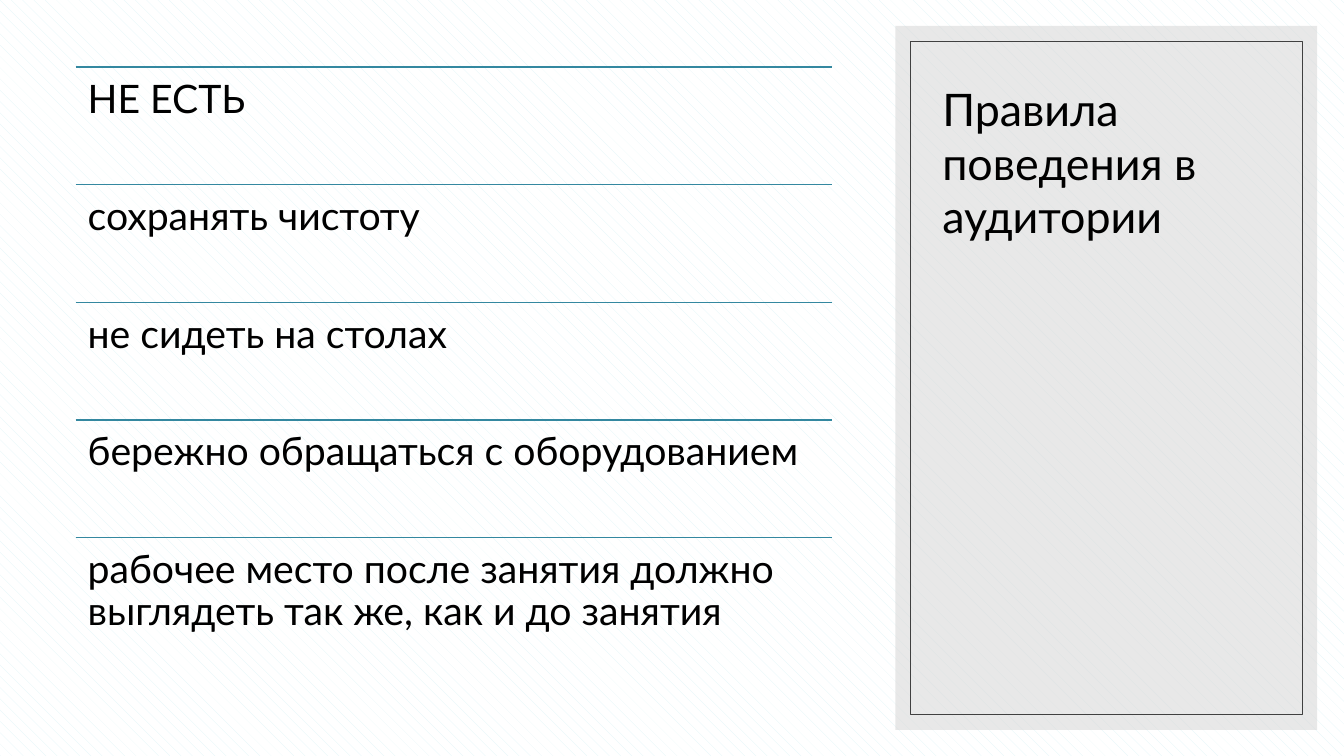
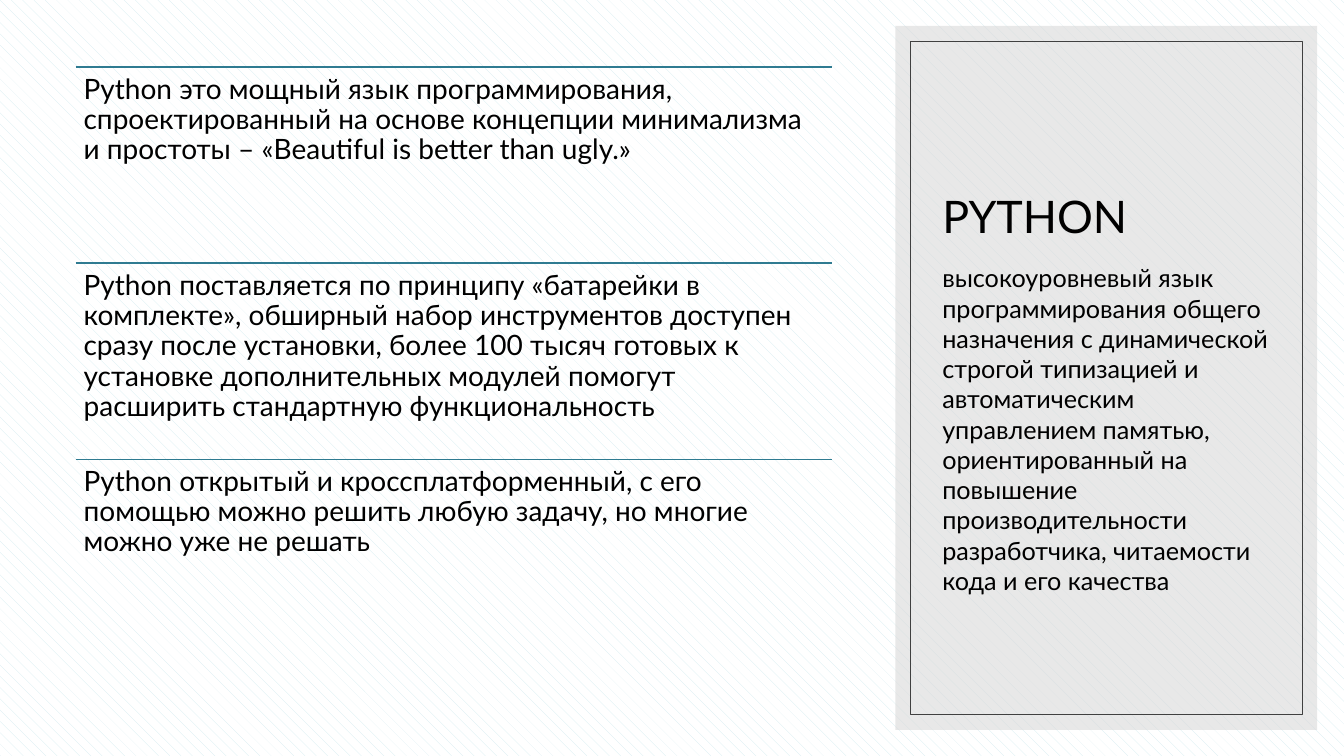
"""Build two slides of ruled statements beside a grey title panel."""
from lxml import etree
from pptx import Presentation
from pptx.dml.color import RGBColor
from pptx.enum.dml import MSO_PATTERN
from pptx.enum.shapes import MSO_CONNECTOR, MSO_SHAPE
from pptx.enum.text import MSO_ANCHOR, PP_ALIGN
from pptx.oxml.ns import qn
from pptx.util import Inches, Pt

SHINGLE = MSO_PATTERN.SHINGLE
STRAIGHT = MSO_CONNECTOR.STRAIGHT
RECTANGLE = MSO_SHAPE.RECTANGLE
TOP, BOTTOM = MSO_ANCHOR.TOP, MSO_ANCHOR.BOTTOM
LEFT = PP_ALIGN.LEFT

BLACK = RGBColor(0x00, 0x00, 0x00)
WHITE = RGBColor(0xFF, 0xFF, 0xFF)
PANEL_GREY = RGBColor(0xD9, 0xD9, 0xD9)
FRAME_GREY = RGBColor(0x40, 0x40, 0x40)
PALE_AQUA = RGBColor(0xDE, 0xF4, 0xF7)
PALE_BLUE = RGBColor(0xD2, 0xEA, 0xF0)
TEAL = RGBColor(0x34, 0x88, 0xA0)
DEEP_TEAL = RGBColor(0x2F, 0x7B, 0x91)

FONT = "Lato"
COLUMNS, ROWS = 160, 90
CELL = Inches(7.5) // ROWS
BLANK_LAYOUT = 6

PANEL = (106.6, 3.1, 50.2, 83.8)
FRAME = (108.4, 4.9, 46.7, 80.2)
TITLE = (111, 7.9, 41.5, 21.6)
SUMMARY = (111, 30.7, 41.5, 47.3)
LIST_LEFT, LIST_TOP, LIST_WIDTH, LIST_HEIGHT = 9, 8, 90, 70

SLIDES = [
    {
        "title": "Правила поведения в аудитории",
        "summary": None,
        "hatch": PALE_AQUA,
        "rule": TEAL,
        "size": 28,
        "inset": 0.12,
        "items": [
            "НЕ ЕСТЬ",
            "сохранять чистоту",
            "не сидеть на столах",
            "бережно обращаться с оборудованием",
            "рабочее место после занятия должно выглядеть так же, как и до занятия",
        ],
    },
    {
        "title": "PYTHON",
        "summary": "высокоуровневый язык программирования общего назначения "
                   "с динамической строгой типизацией и автоматическим "
                   "управлением памятью, ориентированный на повышение "
                   "производительности разработчика, читаемости кода "
                   "и его качества",
        "hatch": PALE_BLUE,
        "rule": DEEP_TEAL,
        "size": 20,
        "inset": 0.08,
        "items": [
            "Python это мощный язык программирования, спроектированный на "
            "основе концепции минимализма и простоты – "
            "«Beautiful is better than ugly.»",
            "Python поставляется по принципу «батарейки в комплекте», "
            "обширный набор инструментов доступен сразу после установки, "
            "более 100 тысяч готовых к установке дополнительных модулей "
            "помогут расширить стандартную функциональность",
            "Python открытый и кроссплатформенный, с его помощью можно "
            "решить любую задачу, но многие можно уже не решать",
        ],
    },
]


def apply(target, values):
    """Set each attribute named in values on target."""
    for name, value in values.items():
        setattr(target, name, value)


def cells(*lengths):
    """Turn grid lengths into slide units."""
    return [round(length * CELL) for length in lengths]


class Designer:
    """Hold the deck, its style and the current slide."""

    def __init__(self):
        """Open an empty widescreen deck."""
        self.deck = Presentation()
        apply(self.deck, {"slide_width": COLUMNS * CELL, "slide_height": ROWS * CELL})
        self.page = None

    def start_page(self, hatch):
        """Add a hatched slide with the framed panel."""
        self.page = self.deck.slides.add_slide(self.deck.slide_layouts[BLANK_LAYOUT])
        fill = self.page.background.fill
        fill.patterned()
        fill.pattern = SHINGLE
        fill.fore_color.rgb = hatch
        fill.back_color.rgb = WHITE
        self.rectangle(PANEL, fill=PANEL_GREY, opacity=60)
        self.rectangle(FRAME, line=FRAME_GREY)

    def rectangle(self, place, fill=None, opacity=100, line=None):
        """Draw a rectangle with an optional fill and outline."""
        box = self.page.shapes.add_shape(RECTANGLE, *cells(*place))
        box.shadow.inherit = False
        if fill is None:
            box.fill.background()
        else:
            box.fill.solid()
            box.fill.fore_color.rgb = fill
            color = next(box.element.spPr.iter(qn("a:srgbClr")))
            etree.SubElement(color, qn("a:alpha"), val=str(opacity * 1000))
        if line is None:
            box.line.fill.background()
        else:
            box.line.color.rgb = line
            box.line.width = Pt(0.5)

    def text(self, place, words, size, anchor=TOP, insets=(0.1, 0.05), **spacing):
        """Write one wrapped paragraph; insets are horizontal and vertical inches."""
        frame = self.page.shapes.add_textbox(*cells(*place)).text_frame
        across, down = map(Inches, insets)
        apply(frame, {"word_wrap": True, "vertical_anchor": anchor,
                      "margin_left": across, "margin_right": across,
                      "margin_top": down, "margin_bottom": down})
        para = frame.paragraphs[0]
        apply(para, {"alignment": LEFT, **spacing})
        span = para.add_run()
        span.text = words
        apply(span.font, {"name": FONT, "size": Pt(size)})
        span.font.color.rgb = BLACK

    def rule(self, top, color):
        """Draw a horizontal rule across the list."""
        line = self.page.shapes.add_connector(
            STRAIGHT, *cells(LIST_LEFT, top, LIST_LEFT + LIST_WIDTH, top))
        line.line.color.rgb = color
        line.line.width = Pt(1)
        etree.SubElement(line.element.spPr, qn("a:effectLst"))

    def ruled_list(self, items, color, size, inset):
        """Stack items in equal bands, each under a rule."""
        height = LIST_HEIGHT / len(items)
        for index, words in enumerate(items):
            top = LIST_TOP + index * height
            self.rule(top, color)
            self.text((LIST_LEFT, top, LIST_WIDTH, height), words, size,
                      insets=(inset, inset), line_spacing=0.9)


def main():
    """Build every slide and save the deck."""
    designer = Designer()
    for content in SLIDES:
        designer.start_page(content["hatch"])
        designer.text(TITLE, content["title"], 32, anchor=BOTTOM)
        if content["summary"]:
            designer.text(SUMMARY, content["summary"], 18, space_before=Pt(8))
        designer.ruled_list(content["items"], content["rule"],
                            content["size"], content["inset"])
    designer.deck.save("out.pptx")


if __name__ == "__main__":
    main()
